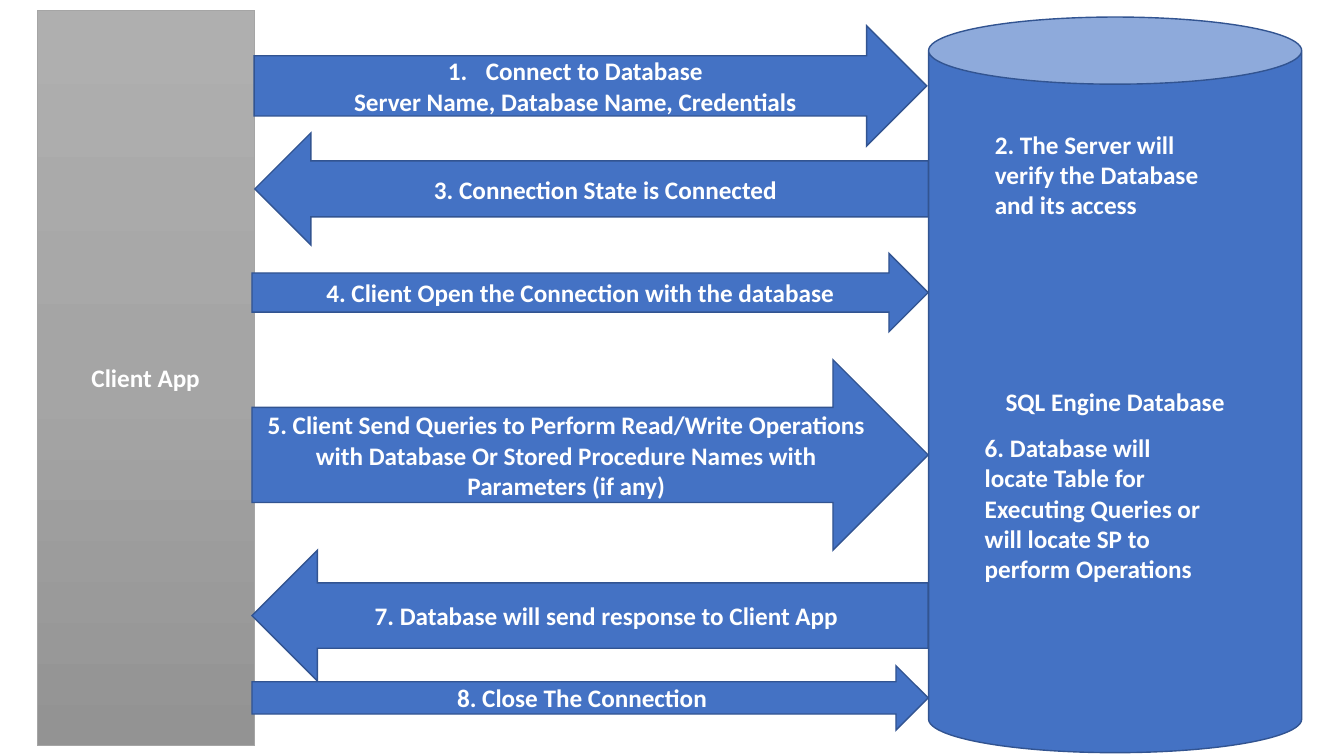
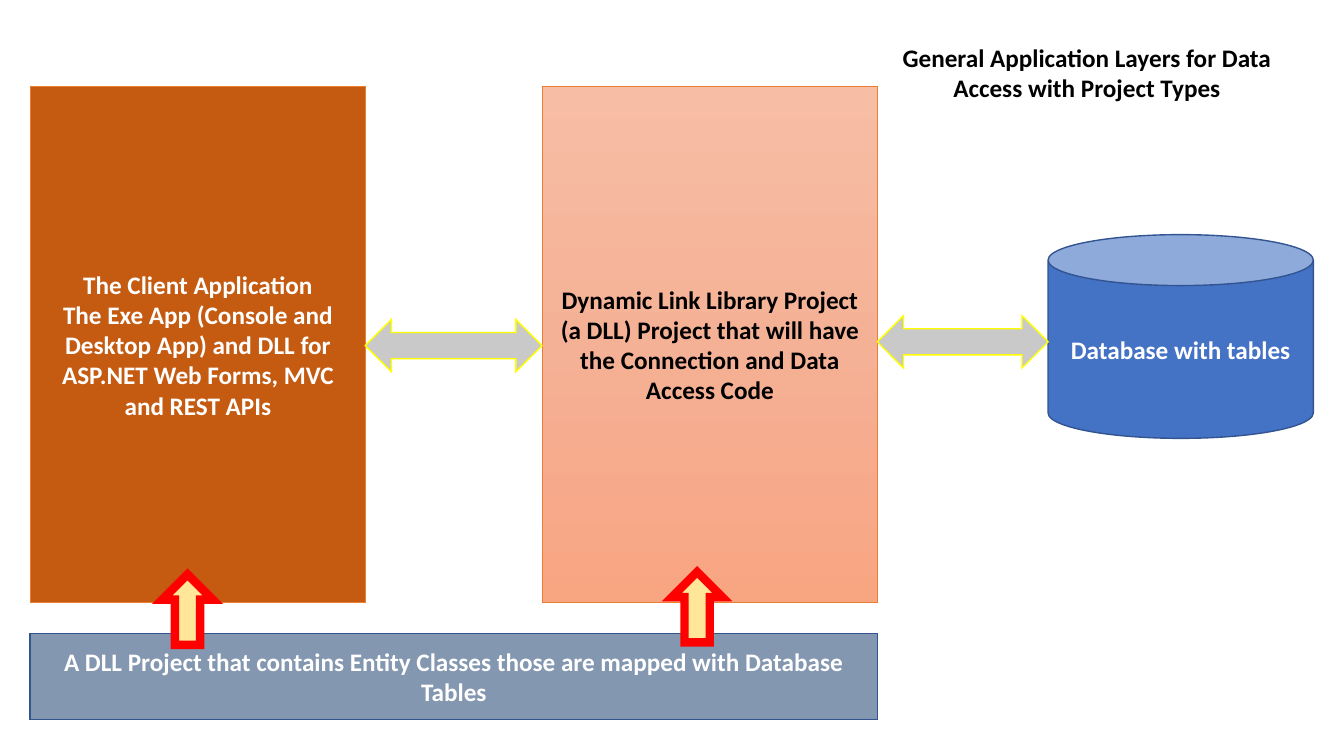
"""Build two diagrams of client and database layers."""
from copy import deepcopy

from lxml import etree
from pptx import Presentation
from pptx.dml.color import RGBColor
from pptx.enum import shapes, text
from pptx.oxml import ns
from pptx.util import Pt

HUES = {
    "blue": "4472C4", "navy": "325491", "white": "FFFFFF", "black": "000000",
    "gray": "A5A5A5", "silver": "C9C9C9", "yellow": "FFFF00", "rust": "C55A11",
    "orange": "ED7D31", "slate": "8497B0", "cream": "FFE699", "red": "FF0000",
}
STEEL = ("AFAFAF", "A5A5A5", "939393")
PEACH = ("F7BDA5", "F5B196", "F8A582")
FORM = shapes.MSO_SHAPE


class Deck:
    def __init__(self):
        self.show = Presentation()
        self.show.slide_width, self.show.slide_height = Pt(960), Pt(540)
        self.slide = None

    def page(self):
        self.slide = self.show.slides.add_slide(self.show.slide_layouts[6])

    def letter(self, frame, words, hue, align):
        frame.text = words
        for para in frame.paragraphs:
            para.alignment = align
            for run in para.runs:
                run.font.name, run.font.size, run.font.bold = "Calibri", Pt(18), True
                run.font.color.rgb = RGBColor.from_string(HUES[hue])

    def blend(self, shape, tones):
        shape.fill.gradient()
        shape.fill.gradient_angle = 270
        stops = shape._element.spPr.find(".//" + ns.qn("a:gsLst"))
        stops.insert(1, deepcopy(stops[0]))
        for index, (stop, tone) in enumerate(zip(shape.fill.gradient_stops, tones)):
            stop.position = index / 2
            stop.color.rgb = RGBColor.from_string(tone)

    def block(self, form, box, words="", fill="blue", line="navy", width=1, hue="white"):
        shape = self.slide.shapes.add_shape(form, *map(Pt, box))
        shape.shadow.inherit = False
        if isinstance(fill, tuple):
            self.blend(shape, fill)
        else:
            shape.fill.solid()
            shape.fill.fore_color.rgb = RGBColor.from_string(HUES[fill])
        shape.line.color.rgb = RGBColor.from_string(HUES[line])
        shape.line.width = Pt(width)
        edge = shape._element.spPr.find(ns.qn("a:ln"))
        etree.SubElement(edge, ns.qn("a:miter"), lim="800000")
        if words:
            self.letter(shape.text_frame, words, hue, text.PP_ALIGN.CENTER)
        return shape

    def label(self, box, words, hue="white", align=text.PP_ALIGN.LEFT):
        frame = self.slide.shapes.add_textbox(*map(Pt, box)).text_frame
        frame.word_wrap = True
        frame.auto_size = text.MSO_AUTO_SIZE.SHAPE_TO_FIT_TEXT
        self.letter(frame, words, hue, align)

    def number(self, para):
        props = para._p.get_or_add_pPr()
        props.set("marL", str(Pt(27)))
        props.set("indent", str(-Pt(27)))
        etree.SubElement(props, ns.qn("a:buFont"), typeface="+mj-lt")
        etree.SubElement(props, ns.qn("a:buAutoNum"), type="arabicPeriod")


def draw_steps(deck):
    deck.page()
    store = deck.block(FORM.CAN, (663.3, 12.2, 266.5, 525.5), "SQL Engine Database")
    store.adjustments[0] = 0.18
    deck.block(FORM.RECTANGLE, (26.6, 7.2, 155, 525.5), "Client App", STEEL, "gray", 0.5)
    right, left = FORM.RIGHT_ARROW, FORM.LEFT_ARROW
    first = deck.block(right, (181.5, 18.4, 480.5, 86),
                       "Connect to Database\nServer Name, Database Name, Credentials")
    deck.number(first.text_frame.paragraphs[0])
    steps = [
        (left, 182, 95, 80, "3. Connection State is Connected"),
        (right, 180, 181, 56, "4. Client Open the Connection with the database"),
        (right, 180, 257, 136, "5. Client Send Queries to Perform Read/Write Operations "
         "with Database Or Stored Procedure Names with Parameters (if any)"),
        (left, 180, 393, 93.5, "7. Database will send response to Client App"),
        (right, 180, 475.5, 46, "8. Close The Connection"),
    ]
    for form, start, top, height, words in steps:
        deck.block(form, (start, top, 663 - start, height), words)
    deck.label((703.5, 88.6, 182, 72.7),
               "2. The Server will verify the Database and its access")
    deck.label((696.3, 305.3, 182, 116.6),
               "6. Database will locate Table for Executing Queries "
               "or will locate SP to perform Operations")


def draw_layers(deck):
    deck.page()
    deck.block(FORM.CAN, (748.6, 167.6, 189.5, 145.5), "Database with tables")
    layers = [
        (387.3, "Dynamic Link Library Project (a DLL) Project that will have "
         "the Connection and Data Access Code", PEACH, "black"),
        (21.6, "The Client Application\nThe Exe App (Console and Desktop App) and DLL "
         "for ASP.NET Web Forms, MVC and REST APIs", "rust", "white"),
    ]
    for start, words, fill, hue in layers:
        deck.block(FORM.FLOWCHART_PROCESS, (start, 61.8, 239.6, 368.6),
                   words, fill, "orange", 0.5, hue)
    for start, top, width in ((626.7, 225.5, 122), (260.9, 228.2, 126.3)):
        deck.block(FORM.LEFT_RIGHT_ARROW, (start, top, width, 37.4),
                   fill="silver", line="yellow")
    deck.block(FORM.RECTANGLE, (21.4, 452.6, 605.5, 61.2),
               "A DLL Project that contains Entity Classes those are mapped "
               "with Database Tables", "slate")
    for start, top in ((480, 408.5), (116, 410.3)):
        deck.block(FORM.UP_ARROW, (start, top, 36, 50.4), fill="cream", line="red", width=6)
    deck.label((625.2, 26.6, 302.4, 51),
               "General Application Layers for Data Access with Project Types",
               "black", text.PP_ALIGN.CENTER)


def main():
    deck = Deck()
    draw_steps(deck)
    draw_layers(deck)
    deck.show.save("out.pptx")


if __name__ == "__main__":
    main()
